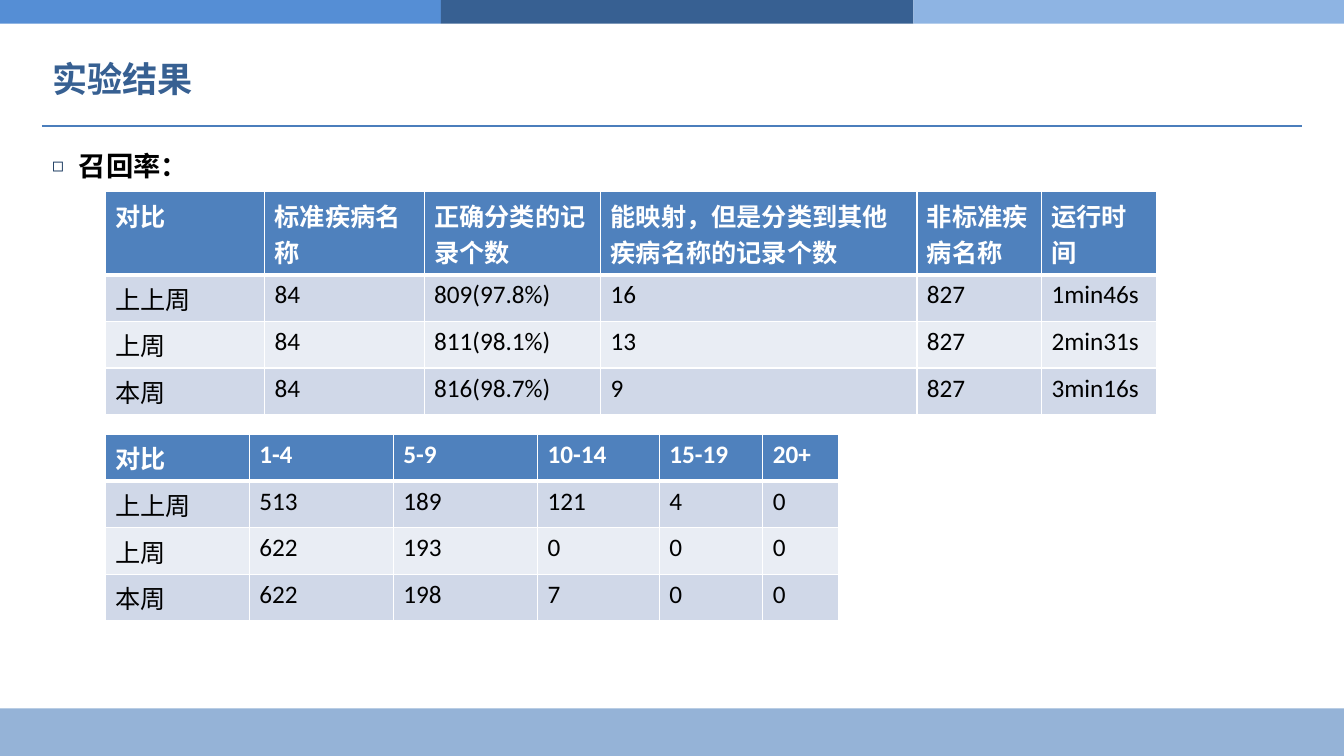
import pptx
import pptx.dml.color
import pptx.enum.shapes
import pptx.enum.text
import pptx.oxml
import pptx.oxml.ns
import pptx.util
from lxml import etree

Pt = pptx.util.Pt
WIDTH, HEIGHT = 960, 540
LEFT, CONTENT_WIDTH = 30, 900
TABLE_LEFT, ROW_HEIGHT = 75, 29.2
WHITE, BLACK, NAVY = "FFFFFF", "000000", "376092"
HEADER_FILL, BAND_FILLS = "4F81BD", ("D0D8E8", "E9EDF4")
WEEKS = ("上上周", "上周", "本周")

RECALL_WIDTHS = (114, 114, 126, 226, 89, 82)
RECALL_HEADER = ("对比", "标准疾病名称", "正确分类的记录个数",
                 "能映射,但是分类到其他疾病名称的记录个数".replace(",", "\uff0c"),
                 "非标准疾病名称", "运行时间")
RECALL_VALUES = (
    ("84", "809(97.8%)", "16", "827", "1min46s"),
    ("84", "811(98.1%)", "13", "827", "2min31s"),
    ("84", "816(98.7%)", "9", "827", "3min16s"),
)
RANGE_WIDTHS = (103, 103, 103, 87, 74, 54)
RANGE_HEADER = ("对比", "1-4", "5-9", "10-14", "15-19", "20+")
RANGE_VALUES = (
    ("513", "189", "121", "4", "0"),
    ("622", "193", "0", "0", "0"),
    ("622", "198", "7", "0", "0"),
)


def color(value):
    """Turn a hex string into a colour."""
    return pptx.dml.color.RGBColor.from_string(value)


def add_element(parent, tag, **attributes):
    """Append a DrawingML element and return it."""
    element = etree.SubElement(parent, pptx.oxml.ns.qn("a:" + tag))
    for name, value in attributes.items():
        element.set(name, str(value))
    return element


def format_text(frame, size, font, fill, bold):
    """Give every run in a text frame the same look."""
    for para in frame.paragraphs:
        for span in para.runs:
            span.font.size = Pt(size)
            span.font.name = font
            span.font.bold = bold
            span.font.color.rgb = color(fill)


def place(shape, left, top, width, height):
    """Move and size a shape."""
    shape.left, shape.top = Pt(left), Pt(top)
    shape.width, shape.height = Pt(width), Pt(height)


def add_band(page, left, top, width, height, fill):
    """Add a plain filled rectangle."""
    band = page.shapes.add_shape(
        pptx.enum.shapes.MSO_SHAPE.RECTANGLE, Pt(left), Pt(top), Pt(width), Pt(height))
    band.shadow.inherit = False
    band.fill.solid()
    band.fill.fore_color.rgb = color(fill)
    band.line.fill.background()


def add_rule(page, top):
    """Add the thin line below the title."""
    rule = page.shapes.add_connector(
        pptx.enum.shapes.MSO_CONNECTOR.STRAIGHT,
        Pt(LEFT), Pt(top), Pt(LEFT + CONTENT_WIDTH), Pt(top))
    rule.line.color.rgb = color("4B7EBC")
    rule.line.width = Pt(0.75)
    add_element(rule._element.spPr, "effectLst")


def fill_title(title, text):
    """Write the slide title."""
    place(title, LEFT, 28, CONTENT_WIDTH, 56)
    frame = title.text_frame
    frame.text = text
    frame.auto_size = pptx.enum.text.MSO_AUTO_SIZE.NONE
    frame.vertical_anchor = pptx.enum.text.MSO_ANCHOR.MIDDLE
    frame.paragraphs[0].alignment = pptx.enum.text.PP_ALIGN.LEFT
    format_text(frame, 25.1, "Arial", NAVY, True)


def fill_body(body, text):
    """Write the bulleted body line."""
    place(body, LEFT, 103, CONTENT_WIDTH, 388)
    frame = body.text_frame
    frame.text = text
    frame.auto_size = pptx.enum.text.MSO_AUTO_SIZE.NONE
    para = frame.paragraphs[0]
    para.space_before = para.space_after = Pt(4.2)
    properties = para._p.get_or_add_pPr()
    properties.set("marL", str(Pt(19)))
    properties.set("indent", str(-Pt(19)))
    add_element(add_element(properties, "buClr"), "srgbClr", val="17375E")
    add_element(properties, "buSzPct", val=70000)
    add_element(properties, "buChar", char="◻")
    format_text(frame, 19.5, "Arial", BLACK, True)


def set_borders(cell, top, bottom):
    """Draw white cell borders; the sides are one point wide."""
    properties = cell._tc.get_or_add_tcPr()
    for side, width in (("L", 1), ("R", 1), ("T", top), ("B", bottom)):
        line = add_element(properties, "ln" + side, w=Pt(width))
        add_element(add_element(line, "solidFill"), "srgbClr", val=WHITE)


def add_week_table(page, top, widths, header, values):
    """Add a table with a header row and one banded row per week."""
    rows = [header] + [(week, *row) for week, row in zip(WEEKS, values)]
    table = page.shapes.add_table(
        len(rows), len(widths), Pt(TABLE_LEFT), Pt(top),
        Pt(sum(widths)), Pt(ROW_HEIGHT * len(rows))).table
    for column, width in zip(table.columns, widths):
        column.width = Pt(width)
    for row_index, row in enumerate(rows):
        is_header = row_index == 0
        fill = HEADER_FILL if is_header else BAND_FILLS[(row_index - 1) % 2]
        for column_index, text in enumerate(row):
            cell = table.cell(row_index, column_index)
            set_borders(cell, 3 if row_index == 1 else 1, 3 if is_header else 1)
            cell.fill.solid()
            cell.fill.fore_color.rgb = color(fill)
            cell.text_frame.text = text
            format_text(cell.text_frame, 18, "Calibri",
                        WHITE if is_header else BLACK, is_header)


def main():
    """Build the slide and save it."""
    deck = pptx.Presentation()
    deck.slide_width, deck.slide_height = Pt(WIDTH), Pt(HEIGHT)
    page = deck.slides.add_slide(deck.slide_layouts[1])
    add_band(page, 0, 506, WIDTH, 34, "95B3D7")
    for left, right, fill in ((0, 315, "558ED5"), (315, 652.5, NAVY),
                              (652.5, WIDTH, "8EB4E3")):
        add_band(page, left, 0, right - left, 17, fill)
    add_rule(page, 90)
    fill_title(page.shapes.title, "实验结果")
    fill_body(page.placeholders[1], "召回率:".replace(":", "\uff1a"))
    add_week_table(page, 137, RECALL_WIDTHS, RECALL_HEADER, RECALL_VALUES)
    add_week_table(page, 310.5, RANGE_WIDTHS, RANGE_HEADER, RANGE_VALUES)
    deck.save("out.pptx")


main()
